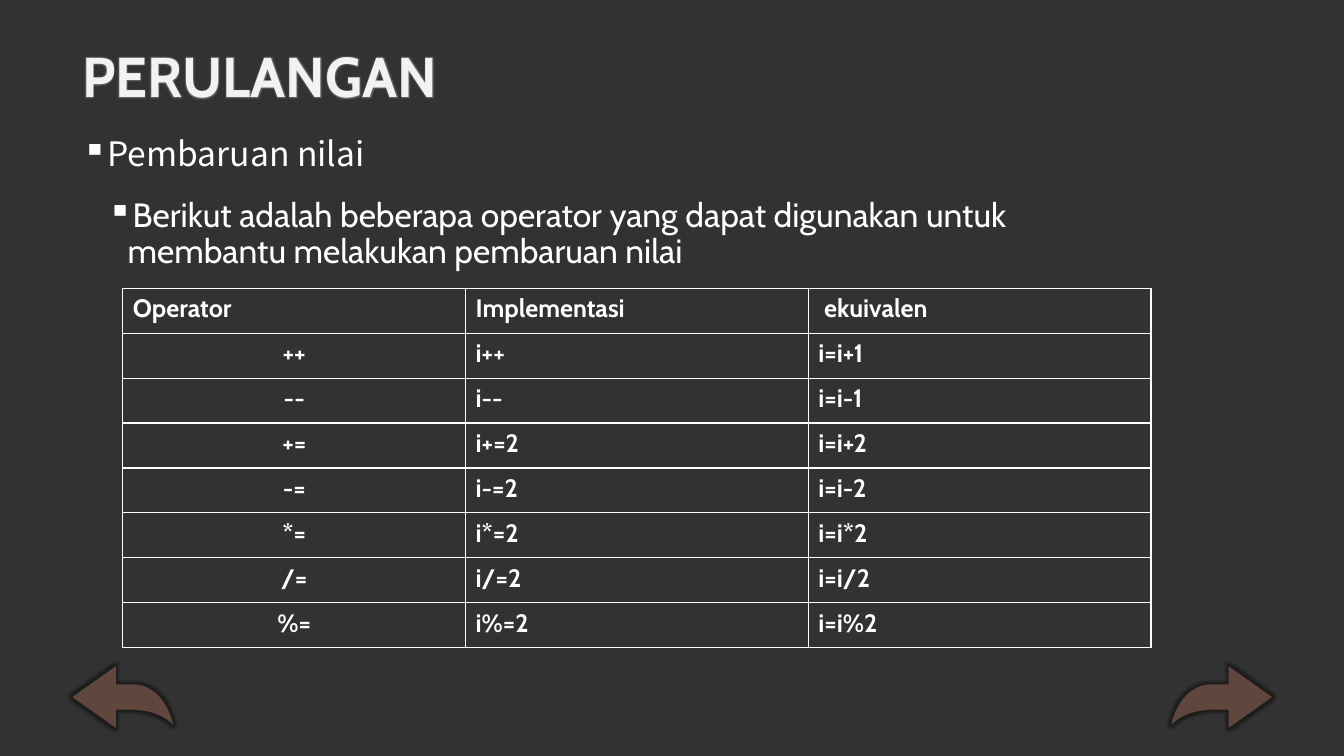
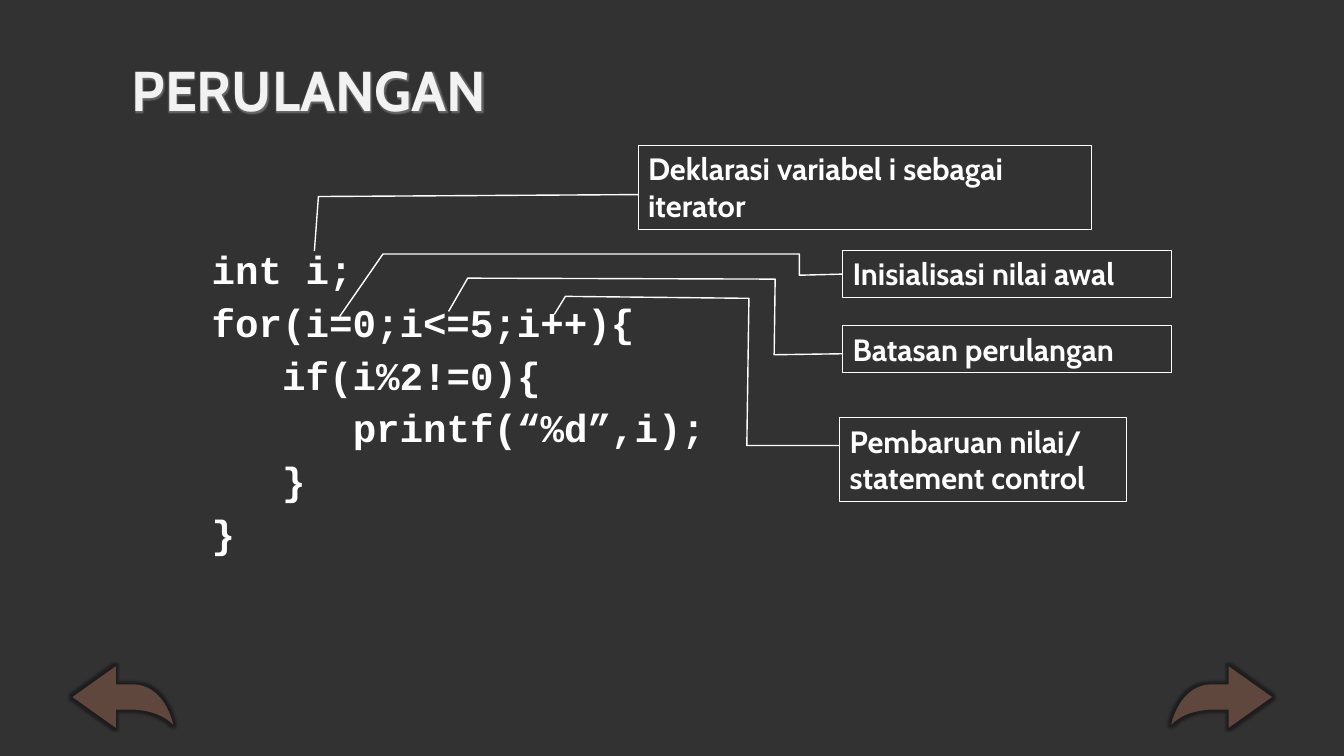
from dataclasses import dataclass

import lxml.etree
import pptx
import pptx.dml.color
import pptx.enum.shapes
import pptx.enum.text
import pptx.oxml.ns
import pptx.presentation
import pptx.shapes.autoshape
import pptx.slide
import pptx.table
import pptx.text.text
import pptx.util

Pt = pptx.util.Pt
qn = pptx.oxml.ns.qn
Point = tuple[float, float]


@dataclass(frozen=True)
class Theme:
    background: str = "323232"
    title: str = "F2F2F2"
    text: str = "FFFFFF"
    arrow: str = "5F473E"
    title_glow: str = "A0A0A0"
    arrow_glow: str = "101010"
    font: str = "Cabin"
    lead_font: str = "Noto Sans CJK SC"
    code_font: str = "Courier New"
    title_size: float = 40
    body_size: float = 24
    cell_size: float = 18
    code_size: float = 28
    callout_size: float = 22
    rule: float = 1
    frame: float = 0.75


@dataclass(frozen=True)
class Area:
    left: float
    top: float
    width: float
    height: float

    def lengths(self) -> tuple[pptx.util.Length, ...]:
        return Pt(self.left), Pt(self.top), Pt(self.width), Pt(self.height)


@dataclass(frozen=True)
class Bullet:
    text: str
    font: str
    margin: float
    spacing: float


@dataclass(frozen=True)
class CodeLine:
    text: str
    level: int = 0


@dataclass(frozen=True)
class Callout:
    text: str
    area: Area
    leader: list[Point]


THEME = Theme()
TITLE = "PERULANGAN"
HANG = 14.4
CODE_INDENT = 3 * 0.6 * THEME.code_size
ARROW_WIDTH = 72
ARROW_TOP = 475.9
ARROW_LEFTS = {"back": 51.8, "next": 836.6}

BULLETS = [
    Bullet("Pembaruan nilai", THEME.lead_font, 14.4, 12),
    Bullet("Berikut adalah beberapa operator yang dapat digunakan untuk "
           "membantu melakukan pembaruan nilai", THEME.font, 32.4, 6),
]

OPERATORS = [
    ("Operator", "Implementasi", " ekuivalen"),
    ("++", "i++", "i=i+1"),
    ("--", "i--", "i=i-1"),
    *((f"{sign}=", f"i{sign}=2", f"i=i{sign}2") for sign in "+-*/%"),
]

CODE = [
    CodeLine("int i;"),
    CodeLine("for(i=0;i<=5;i++){"),
    CodeLine("if(i%2!=0){", 1),
    CodeLine("printf(“%d”,i);", 2),
    CodeLine("}", 1),
    CodeLine("}"),
]

CALLOUTS = [
    Callout("Deklarasi variabel i sebagai iterator", Area(455.8, 103.7, 324, 60.5),
            [(224.6, 179.3), (227.5, 140.4), (455.8, 139)]),
    Callout("Inisialisasi nilai awal", Area(601.9, 178.6, 234.7, 33.8),
            [(242.6, 226.1), (273.6, 181.4), (571, 181.4), (571, 196.6), (601.9, 195.8)]),
    Callout("Batasan perulangan", Area(601.9, 232.6, 234.7, 33.8),
            [(320.4, 222.5), (334.1, 198.7), (553.7, 199.4), (553, 253.4), (601.9, 252.7)]),
    Callout("Pembaruan nilai/ statement control", Area(599.8, 298.1, 205.2, 60.5),
            [(396, 224.6), (403.9, 211.7), (535, 213.1), (533.5, 318.2), (599.8, 318.2)]),
]


def color(value: str) -> pptx.dml.color.RGBColor:
    return pptx.dml.color.RGBColor.from_string(value)


def style(para: pptx.text.text._Paragraph, size: float, font: str = THEME.font,
          tint: str = THEME.text, bold: bool = True) -> None:
    para.font.size = Pt(size)
    para.font.name = font
    para.font.bold = bold
    para.font.color.rgb = color(tint)


def indent(para: pptx.text.text._Paragraph, margin: float, hang: float = 0) -> None:
    properties = para._p.get_or_add_pPr()
    properties.set("marL", str(Pt(margin)))
    properties.set("indent", str(-Pt(hang)))


def add_bullet_mark(para: pptx.text.text._Paragraph) -> None:
    properties = para._p.get_or_add_pPr()
    tint = lxml.etree.Element(qn("a:buClr"))
    lxml.etree.SubElement(tint, qn("a:srgbClr"), val=THEME.text)
    mark = lxml.etree.Element(qn("a:buChar"), char="▪")
    defaults = properties.find(qn("a:defRPr"))
    defaults.addprevious(tint)
    defaults.addprevious(mark)


def add_glow(effects: lxml.etree._Element, tint: str, radius: float, opacity: int) -> None:
    glow = lxml.etree.SubElement(effects, qn("a:glow"), rad=str(Pt(radius)))
    shade = lxml.etree.SubElement(glow, qn("a:srgbClr"), val=tint)
    lxml.etree.SubElement(shade, qn("a:alpha"), val=str(opacity * 1000))


def set_borders(cell: pptx.table._Cell, width: float) -> None:
    properties = cell._tc.get_or_add_tcPr()
    for index, side in enumerate(("lnL", "lnR", "lnT", "lnB")):
        line = lxml.etree.Element(qn(f"a:{side}"), w=str(Pt(width)))
        if width:
            fill = lxml.etree.SubElement(line, qn("a:solidFill"))
            lxml.etree.SubElement(fill, qn("a:srgbClr"), val=THEME.text)
        else:
            lxml.etree.SubElement(line, qn("a:noFill"))
        properties.insert(index, line)


def add_grid(page: pptx.slide.Slide, rows: int, columns: int, area: Area,
             border: float) -> pptx.table.Table:
    table = page.shapes.add_table(rows, columns, *area.lengths()).table
    table.first_row = False
    table.horz_banding = False
    for cell in table.iter_cells():
        cell.fill.background()
        set_borders(cell, border)
    return table


def add_outline(page: pptx.slide.Slide, points: list[Point],
                closed: bool) -> pptx.shapes.autoshape.Shape:
    start, *rest = [(Pt(x), Pt(y)) for x, y in points]
    builder = page.shapes.build_freeform(*start)
    builder.add_line_segments(rest, close=closed)
    outline = builder.convert_to_shape()
    outline.shadow.inherit = False
    return outline


def curve(start: Point, first: Point, second: Point, end: Point, steps: int = 12) -> list[Point]:
    points = []
    for step in range(1, steps + 1):
        t = step / steps
        weights = ((1 - t) ** 3, 3 * t * (1 - t) ** 2, 3 * t * t * (1 - t), t ** 3)
        knots = (start, first, second, end)
        points.append((sum(w * k[0] for w, k in zip(weights, knots)),
                       sum(w * k[1] for w, k in zip(weights, knots))))
    return points


def add_arrow(page: pptx.slide.Slide, left: float, mirrored: bool) -> None:
    shoulder, heel, tail = (27.4, 13), (27.4, 31), (0, 41.8)
    points = [shoulder, (41, 13), (41, 0), (ARROW_WIDTH, 22), (41, 44), (41, 31), heel]
    points += curve(heel, (21.6, 31.7), (9.4, 32.4), tail)
    points += curve(tail, (4.3, 23.8), (15.1, 13.7), shoulder)[:-1]
    placed = [(left + (ARROW_WIDTH - x if mirrored else x), ARROW_TOP + y) for x, y in points]
    arrow = add_outline(page, placed, closed=True)
    arrow.fill.solid()
    arrow.fill.fore_color.rgb = color(THEME.arrow)
    arrow.line.fill.background()
    add_glow(arrow._element.spPr.find(qn("a:effectLst")), THEME.arrow_glow, 4, 60)


def add_page(deck: pptx.presentation.Presentation, title_area: Area) -> pptx.slide.Slide:
    page = deck.slides.add_slide(deck.slide_layouts[6])
    page.background.fill.solid()
    page.background.fill.fore_color.rgb = color(THEME.background)
    frame = page.shapes.add_textbox(*title_area.lengths()).text_frame
    frame.word_wrap = True
    frame.vertical_anchor = pptx.enum.text.MSO_ANCHOR.MIDDLE
    para = frame.paragraphs[0]
    para.line_spacing = 0.85
    span = para.add_run()
    span.text = TITLE
    style(para, THEME.title_size, tint=THEME.title)
    effects = lxml.etree.SubElement(span._r.get_or_add_rPr(), qn("a:effectLst"))
    add_glow(effects, THEME.title_glow, 3, 50)
    for name, left in ARROW_LEFTS.items():
        add_arrow(page, left, mirrored=name == "back")
    return page


def add_bullets(page: pptx.slide.Slide, area: Area) -> None:
    frame = page.shapes.add_textbox(*area.lengths()).text_frame
    frame.word_wrap = True
    for index, bullet in enumerate(BULLETS):
        para = frame.add_paragraph() if index else frame.paragraphs[0]
        para.text = bullet.text
        para.level = index
        para.line_spacing = 0.9
        para.space_before = para.space_after = Pt(bullet.spacing)
        style(para, THEME.body_size, bullet.font, bold=False)
        indent(para, bullet.margin, HANG)
        add_bullet_mark(para)


def add_operators(page: pptx.slide.Slide, area: Area) -> None:
    table = add_grid(page, len(OPERATORS), len(OPERATORS[0]), area, THEME.rule)
    for row, texts in enumerate(OPERATORS):
        for column, text in enumerate(texts):
            para = table.cell(row, column).text_frame.paragraphs[0]
            para.text = text
            style(para, THEME.cell_size)
            if row and not column:
                para.alignment = pptx.enum.text.PP_ALIGN.CENTER


def add_code(page: pptx.slide.Slide, area: Area) -> None:
    frame = add_grid(page, 1, 1, area, 0).cell(0, 0).text_frame
    for index, line in enumerate(CODE):
        para = frame.add_paragraph() if index else frame.paragraphs[0]
        para.text = line.text
        para.space_before = Pt(6)
        style(para, THEME.code_size, THEME.code_font)
        indent(para, line.level * CODE_INDENT)


def add_callout(page: pptx.slide.Slide, callout: Callout) -> None:
    leader = add_outline(page, callout.leader, closed=False)
    box = page.shapes.add_shape(pptx.enum.shapes.MSO_SHAPE.RECTANGLE, *callout.area.lengths())
    box.shadow.inherit = False
    for shape, width in ((leader, THEME.rule), (box, THEME.frame)):
        shape.fill.background()
        shape.line.color.rgb = color(THEME.text)
        shape.line.width = Pt(width)
    frame = box.text_frame
    frame.word_wrap = True
    frame.vertical_anchor = pptx.enum.text.MSO_ANCHOR.TOP
    para = frame.paragraphs[0]
    para.text = callout.text
    para.alignment = pptx.enum.text.PP_ALIGN.LEFT
    style(para, THEME.callout_size)


def main() -> None:
    deck = pptx.Presentation()
    deck.slide_width, deck.slide_height = Pt(960), Pt(540)

    operators_page = add_page(deck, Area(51.8, 20.2, 770.4, 74.2))
    add_bullets(operators_page, Area(51.8, 94.3, 770.4, 331.2))
    add_operators(operators_page, Area(87.8, 205.9, 734.4, 256.8))

    code_page = add_page(deck, Area(87.1, 27.4, 770.4, 80.6))
    add_code(code_page, Area(144, 176.4, 369.4, 263.5))
    for callout in CALLOUTS:
        add_callout(code_page, callout)

    deck.save("out.pptx")


if __name__ == "__main__":
    main()
